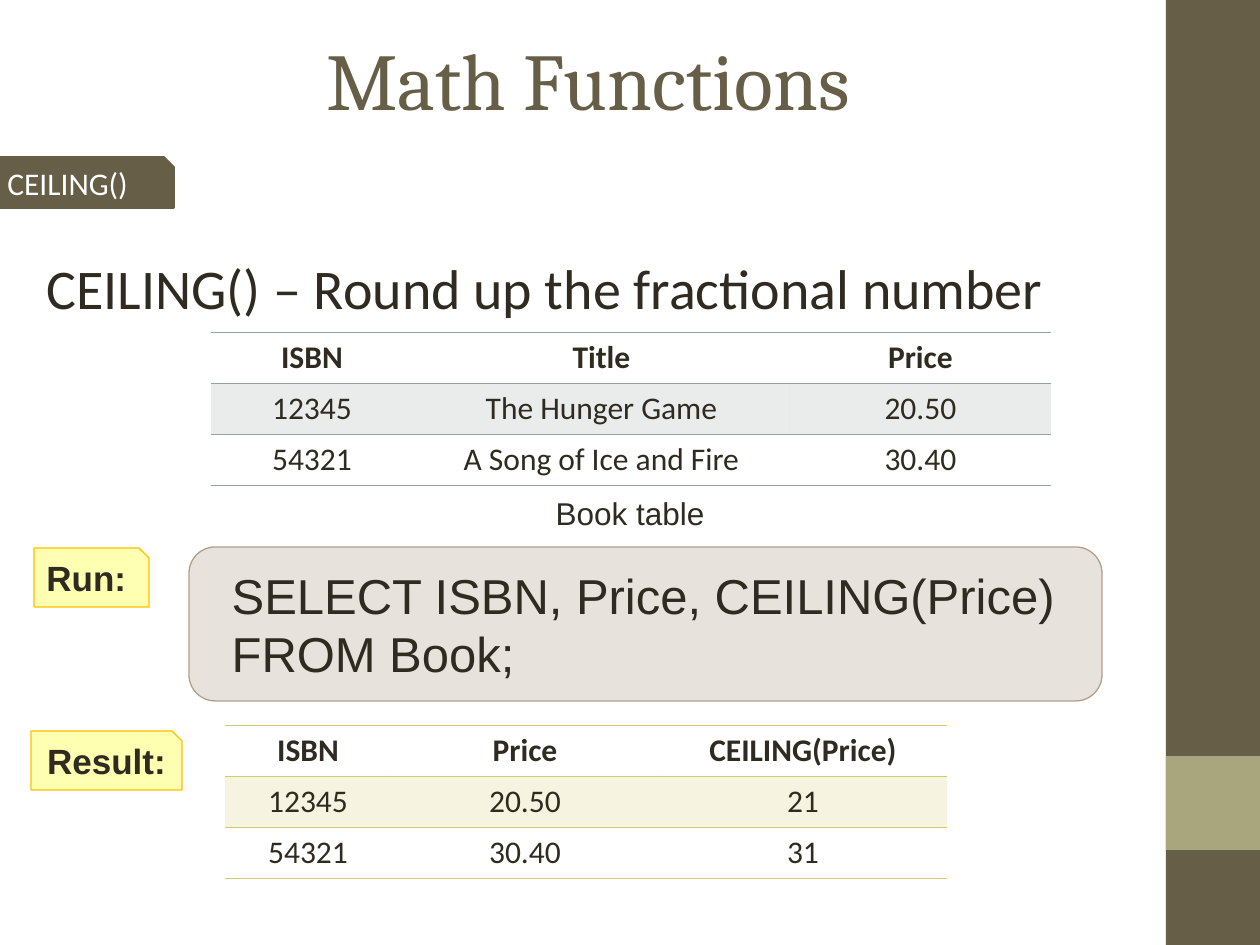
from lxml import etree
from pptx import Presentation
from pptx import util as u
from pptx.dml.color import RGBColor
from pptx.enum import shapes, text
from pptx.oxml import ns

COLORS = {
    "olive": "675E47", "sage": "A9A57C", "ink": "2F2B20", "white": "FFFFFF",
    "tan": "B1A089", "yellow": "FFFF00", "amber": "FFC000",
    "gold": "D2CB6C", "slate": "95A39D",
}
BARS = [("olive", (1166, 0, 94, 945)), ("sage", (1166, 756, 94, 94))]
TITLE = ("Math Functions", (63, 0, 1050, 157))
TEXTS = [
    ("CEILING() – Round up the fractional number", (34, 247, 1206, 149), "Calibri", 32, "LEFT"),
    ("Book table", (491, 488, 278, 50), "Arial", 18, "CENTER"),
]
QUERY = ("SELECT ISBN, Price, CEILING(Price) FROM Book;", (189, 547, 913, 154))
TABS = [
    ("CEILING()", (-5, 157, 179, 51), "Calibri", 18, "white", False, "LEFT", "olive", 100, "olive", 1),
    ("Result:", (31, 731, 151, 59), "Arial", 20, "ink", True, "CENTER", "yellow", 30, "amber", 0.75),
    ("Run:", (34, 548, 115, 59), "Arial", 20, "ink", True, "LEFT", "yellow", 30, "amber", 0.75),
]
TABLES = [
    ("gold", (225, 725), (166, 268, 288), [
        ("ISBN", "Price", "CEILING(Price)"),
        ("12345", "20.50", "21"),
        ("54321", "30.40", "31")]),
    ("slate", (211, 332), (202, 377, 261), [
        ("ISBN", "Title", "Price"),
        ("12345", "The Hunger Game", "20.50"),
        ("54321", "A Song of Ice and Fire", "30.40")]),
]
ROW_HEIGHT = 51
CORNER = 10
SCALE = 914400 / 126


def px(value):
    return u.Emu(round(value * SCALE))


def box(values):
    return [px(value) for value in values]


def rgb(name):
    return RGBColor.from_string(COLORS[name])


def paint(fill, color, opacity=100):
    fill.solid()
    fill.fore_color.rgb = rgb(color)
    if opacity < 100:
        element = fill._xPr.find(ns.qn("a:solidFill"))[0]
        etree.SubElement(element, ns.qn("a:alpha"), val=str(opacity * 1000))


def outline(shape, color, width):
    shape.line.color.rgb = rgb(color)
    shape.line.width = u.Pt(width)


def write(frame, words, font, size, color="ink", bold=False, align="LEFT"):
    paragraph = frame.paragraphs[0]
    paragraph.alignment = getattr(text.PP_ALIGN, align)
    run = paragraph.add_run()
    run.text = words
    run.font.name = font
    run.font.size = u.Pt(size)
    run.font.bold = bold
    run.font.color.rgb = rgb(color)


def rule_cell(cell, sides, color):
    properties = cell._tc.get_or_add_tcPr()
    for position, side in enumerate(sides):
        line = etree.Element(ns.qn("a:" + side), w=str(u.Pt(0.45)))
        solid = etree.SubElement(line, ns.qn("a:solidFill"))
        etree.SubElement(solid, ns.qn("a:srgbClr"), val=COLORS[color])
        properties.insert(position, line)


def add_grid(slide, color, corner, widths, rows):
    frame = slide.shapes.add_table(
        len(rows), len(widths), *box((*corner, sum(widths), ROW_HEIGHT * len(rows))))
    table = frame.table
    table.horz_banding = False
    style = table._tbl.tblPr.find(ns.qn("a:tableStyleId"))
    style.text = "{2D5ABB26-0587-4C30-8999-92F81FD0307C}"
    for column, width in zip(table.columns, widths):
        column.width = px(width)
    borders = [("lnT", "lnB"), ("lnT",), ("lnB",)]
    for r, row in enumerate(rows):
        table.rows[r].height = px(ROW_HEIGHT)
        for c, words in enumerate(row):
            cell = table.cell(r, c)
            if r == 1:
                paint(cell.fill, color, 20)
            else:
                cell.fill.background()
            rule_cell(cell, borders[r], color)
            write(cell.text_frame, words, "Calibri", 18, bold=r == 0, align="CENTER")


def add_tab(slide, words, place, font, size, color, bold, align, fill, opacity, line, width):
    x, y, w, h = place
    right, bottom = x + w, y + h
    builder = slide.shapes.build_freeform(px(x), px(y))
    corners = [(right - CORNER, y), (right, y + CORNER), (right, bottom), (x, bottom)]
    builder.add_line_segments([box(point) for point in corners], close=True)
    shape = builder.convert_to_shape()
    shape.shadow.inherit = False
    paint(shape.fill, fill, opacity)
    outline(shape, line, width)
    frame = shape.text_frame
    frame.word_wrap = True
    frame.vertical_anchor = text.MSO_ANCHOR.MIDDLE
    write(frame, words, font, size, color, bold, align)


presentation = Presentation()
presentation.slide_width, presentation.slide_height = box((1260, 945))
slide = presentation.slides.add_slide(presentation.slide_layouts[5])

title = slide.shapes.title
title.left, title.top, title.width, title.height = box(TITLE[1])
title.text_frame.vertical_anchor = text.MSO_ANCHOR.MIDDLE
write(title.text_frame, TITLE[0], "Cambria", 46, "olive", align="CENTER")

for color, place in BARS:
    bar = slide.shapes.add_shape(shapes.MSO_SHAPE.RECTANGLE, *box(place))
    bar.shadow.inherit = False
    paint(bar.fill, color)
    bar.line.fill.background()

for words, place, font, size, align in TEXTS:
    frame = slide.shapes.add_textbox(*box(place)).text_frame
    frame.word_wrap = True
    write(frame, words, font, size, align=align)

query = slide.shapes.add_shape(shapes.MSO_SHAPE.ROUNDED_RECTANGLE, *box(QUERY[1]))
query.adjustments[0] = 0.17
query.shadow.inherit = False
paint(query.fill, "tan", 30)
outline(query, "tan", 0.75)
query.text_frame.word_wrap = True
query.text_frame.margin_left = px(35)
query.text_frame.vertical_anchor = text.MSO_ANCHOR.MIDDLE
write(query.text_frame, QUERY[0], "Arial", 28)

for grid in TABLES:
    add_grid(slide, *grid)
for tab in TABS:
    add_tab(slide, *tab)

presentation.save("out.pptx")
